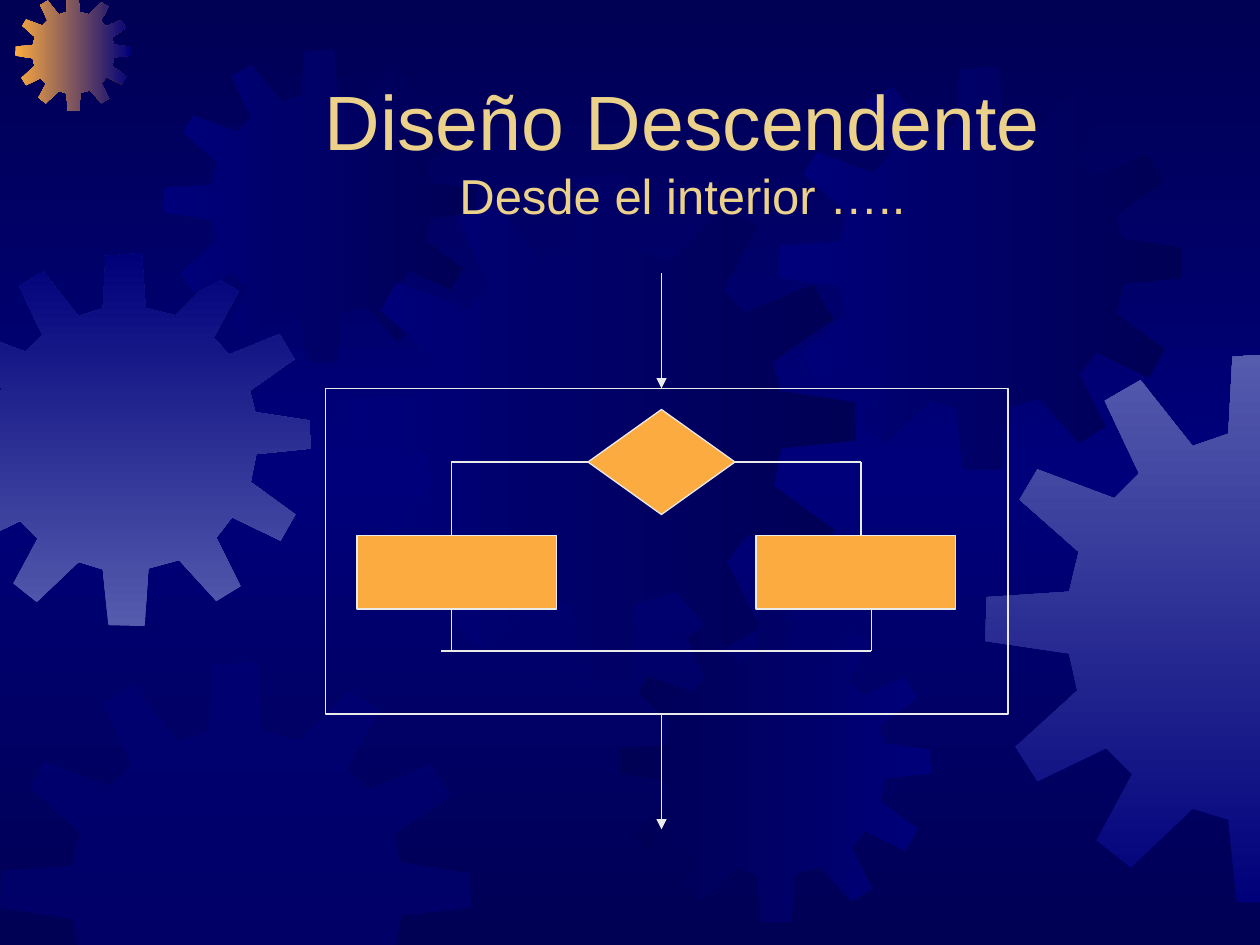
import copy

import pptx
import pptx.dml.color
import pptx.enum.shapes
import pptx.enum.text
import pptx.oxml
import pptx.oxml.ns
import pptx.util

SHAPE = pptx.enum.shapes.MSO_SHAPE
WIDTH, HEIGHT = 10, 7.5
GRID = 12  # grid cells per inch

NAVY, BLUE, LILAC = "000054", "00007A", "555BAD"
ORANGE, GOLD, PALE = "FCAB40", "EBD189", "EAEAEA"

# Outline of a twelve-toothed gear in a square of 401 units
GEAR_SIZE = 401
GEAR = [
    (255, 67), (223, 59), (219, 0), (180, 3), (177, 59), (151, 68),
    (113, 20), (87, 35), (112, 88), (94, 106), (38, 85), (25, 107),
    (68, 145), (61, 174), (1, 178), (0, 210), (61, 219), (67, 246),
    (22, 287), (38, 312), (88, 288), (107, 307), (81, 355), (106, 375),
    (151, 332), (177, 340), (183, 400), (222, 401), (226, 339), (259, 330),
    (299, 374), (325, 358), (299, 306), (316, 284), (368, 309), (384, 281),
    (336, 246), (342, 216), (401, 210), (400, 180), (341, 171), (335, 148),
    (383, 114), (367, 87), (313, 109), (296, 91), (323, 41), (297, 25),
]

# left, top, size (inches), gradient colours, gradient direction (clockwise)
BACK_GEARS = [
    (-0.49, 2.01, 2.96, (LILAC, BLUE), 270),
    (0.12, -0.04, 0.92, (ORANGE, BLUE), 0),
    (1.3, 0.39, 2.48, (NAVY, BLUE), 180),
    (2.77, 1.39, 4.02, (BLUE, NAVY), 0),
    (0, 5.25, 3.74, (BLUE,), 0),
    (4.91, 4.84, 2.48, (NAVY, BLUE), 0),
    (6.18, 0.53, 3.2, (BLUE, NAVY), 0),
    (7.82, 2.8, 4.37, (BLUE, LILAC), 270),
]


def rgb(hex_string):
    return pptx.dml.color.RGBColor.from_string(hex_string)


def cells(n):
    return pptx.util.Inches(n / GRID)


def clip(points, axis, limit, sign):
    """Cut a polygon, keeping the side where sign * coordinate <= sign * limit."""
    kept = []
    for a, b in zip(points[-1:] + points[:-1], points):
        inside_a, inside_b = (sign * q[axis] <= sign * limit for q in (a, b))
        if inside_a != inside_b:
            t = (limit - a[axis]) / (b[axis] - a[axis])
            kept.append(tuple(u + t * (v - u) for u, v in zip(a, b)))
        if inside_b:
            kept.append(b)
    return kept


class Deck:
    """Holds the style and the current slide; lengths are in grid cells."""

    font, line_color, line_width = "Arial", PALE, pptx.util.Pt(0.75)

    def __init__(self):
        self.prs = pptx.Presentation()
        self.prs.slide_width = pptx.util.Inches(WIDTH)
        self.prs.slide_height = pptx.util.Inches(HEIGHT)
        self.slide = self.prs.slides.add_slide(self.prs.slide_layouts[6])
        self.shapes = self.slide.shapes

    def gradient(self, fill, colors, direction):
        fill.gradient()
        fill.gradient_angle = -direction % 360
        for stop, color in zip(fill.gradient_stops, colors):
            stop.color.rgb = rgb(color)

    def background(self, edge, middle):
        """Vertical gradient from edge to middle and back to edge."""
        fill = self.slide.background.fill
        self.gradient(fill, (edge, middle), 90)
        stops = self.slide.element.find(".//" + pptx.oxml.ns.qn("a:gsLst"))
        stops.append(copy.deepcopy(stops[0]))
        stops[1].set("pos", "50000")
        stops[2].set("pos", "100000")

    def gear(self, left, top, size, colors, direction):
        """Gear placed in inches and cut at the slide's edges; one colour is half clear."""
        k = size / GEAR_SIZE
        points = [(left + x * k, top + y * k) for x, y in GEAR]
        for axis, limit, sign in ((0, 0, -1), (0, WIDTH, 1), (1, 0, -1), (1, HEIGHT, 1)):
            points = clip(points, axis, limit, sign)
        points = [tuple(pptx.util.Inches(v) for v in q) for q in points]
        builder = self.shapes.build_freeform(*points[0], scale=1)
        builder.add_line_segments(points[1:], close=True)
        sp = builder.convert_to_shape()
        sp.shadow.inherit = False
        sp.line.fill.background()
        if len(colors) > 1:
            self.gradient(sp.fill, colors, direction)
            return
        sp.fill.solid()
        sp.fill.fore_color.rgb = rgb(colors[0])
        color = sp.element.spPr.find(".//" + pptx.oxml.ns.qn("a:srgbClr"))
        color.append(pptx.oxml.parse_xml(
            f'<a:alpha {pptx.oxml.ns.nsdecls("a")} val="50000"/>'))

    def title(self, box, lines):
        tf = self.shapes.add_textbox(*map(cells, box)).text_frame
        tf.word_wrap = True
        tf.vertical_anchor = pptx.enum.text.MSO_ANCHOR.BOTTOM
        for i, (text, size) in enumerate(lines):
            p = tf.add_paragraph() if i else tf.paragraphs[0]
            p.text = text
            p.alignment = pptx.enum.text.PP_ALIGN.CENTER
            p.font.name, p.font.size = self.font, pptx.util.Pt(size)
            p.font.color.rgb = rgb(GOLD)

    def stroke(self, line):
        line.color.rgb = rgb(self.line_color)
        line.width = self.line_width

    def node(self, kind, box, fill=None):
        sp = self.shapes.add_shape(kind, *map(cells, box))
        sp.shadow.inherit = False
        if fill:
            sp.fill.solid()
            sp.fill.fore_color.rgb = rgb(fill)
        else:
            sp.fill.background()
        self.stroke(sp.line)
        return sp

    def line(self, x1, y1, x2, y2, arrow=False):
        cxn = self.shapes.add_connector(
            pptx.enum.shapes.MSO_CONNECTOR.STRAIGHT, *map(cells, (x1, y1, x2, y2)))
        self.stroke(cxn.line)
        sp_pr = cxn.element.spPr
        ns = pptx.oxml.ns.nsdecls("a")
        if arrow:
            sp_pr.find(pptx.oxml.ns.qn("a:ln")).append(
                pptx.oxml.parse_xml(f'<a:tailEnd {ns} type="triangle"/>'))
        sp_pr.append(pptx.oxml.parse_xml(f"<a:effectLst {ns}/>"))
        return cxn


def main():
    deck = Deck()
    deck.background(NAVY, BLUE)
    for gear in BACK_GEARS:
        deck.gear(*gear)

    deck.title((14, 7, 102, 15),
               [("Diseño Descendente", 44), ("Desde el interior …..", 28)])

    deck.node(SHAPE.RECTANGLE, (31, 37, 65, 31))
    for top in (26, 68):
        deck.line(63, top, 63, top + 11, arrow=True)

    decision = deck.node(SHAPE.FLOWCHART_DECISION, (56, 39, 14, 10), ORANGE)
    for left in (34, 72):
        deck.node(SHAPE.FLOWCHART_PROCESS, (left, 51, 19, 7), ORANGE)

    # Branches: side of the decision, its x, x going down, x coming out
    for side, corner, x_in, x_out in ((1, 56, 43, 43), (3, 70, 82, 83)):
        deck.line(corner, 44, x_in, 44).begin_connect(decision, side)
        deck.line(x_in, 51, x_in, 44)
        deck.line(x_out, 58, x_out, 62)
    deck.line(42, 62, 83, 62)

    deck.prs.save("out.pptx")


if __name__ == "__main__":
    main()
